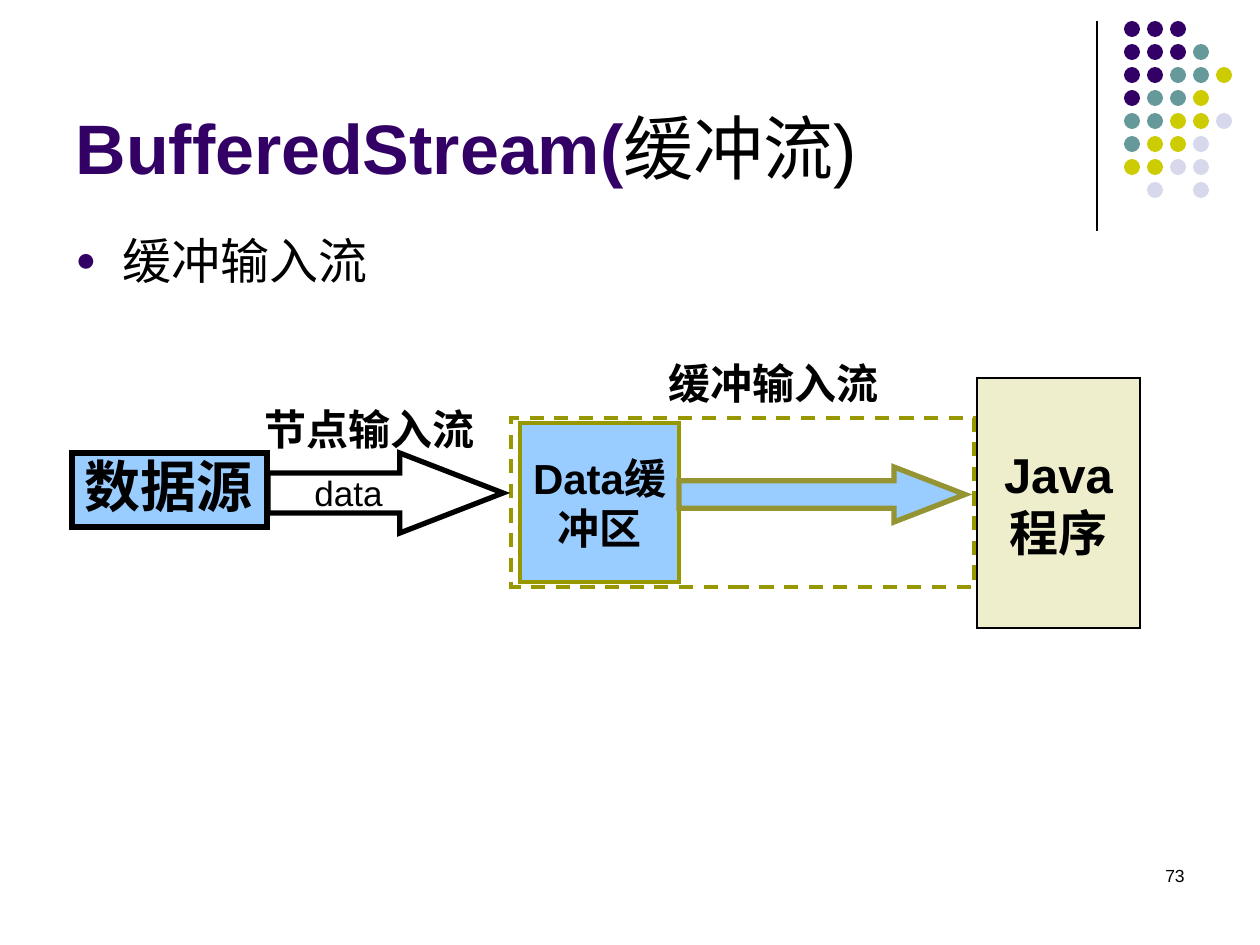
from lxml import etree
from pptx import Presentation
from pptx.dml.color import RGBColor
from pptx.enum.dml import MSO_LINE
from pptx.enum.shapes import MSO_CONNECTOR, MSO_SHAPE
from pptx.enum.text import MSO_ANCHOR, PP_ALIGN
from pptx.oxml.ns import qn
from pptx.util import Emu, Pt

PX_PER_INCH = 126
EMU_PER_INCH = 914400
RECTANGLE = MSO_SHAPE.RECTANGLE
RIGHT_ARROW = MSO_SHAPE.RIGHT_ARROW
OVAL = MSO_SHAPE.OVAL
STRAIGHT = MSO_CONNECTOR.STRAIGHT
DASH = MSO_LINE.DASH
TOP, MIDDLE, BOTTOM = MSO_ANCHOR.TOP, MSO_ANCHOR.MIDDLE, MSO_ANCHOR.BOTTOM
LEFT, CENTER, RIGHT = PP_ALIGN.LEFT, PP_ALIGN.CENTER, PP_ALIGN.RIGHT

SANS, SERIF = "Arial", "Times New Roman"
COLORS = {
    "black": "000000",
    "white": "FFFFFF",
    "purple": "330066",
    "teal": "669999",
    "yellow": "CCCC00",
    "lavender": "D8D8EC",
    "blue": "99CCFF",
    "cream": "EEEECC",
    "olive": "979700",
    "dark olive": "949432",
}
DOT_COLORS = {"p": "purple", "t": "teal", "y": "yellow", "l": "lavender"}
DOT_ROWS = ["ppp", "pppt", "pptty", "ptty", "ttyyl", "tyyl", "yyll", ".l.l"]
DOT_LEFT, DOT_TOP, DOT_STEP, DOT_SIZE = 1124, 21, 23, 16


def px(length):
    return Emu(round(length * EMU_PER_INCH / PX_PER_INCH))


def rgb(name):
    return RGBColor.from_string(COLORS[name])


def place(shape, left, top, width, height):
    shape.left, shape.top = px(left), px(top)
    shape.width, shape.height = px(width), px(height)


def format_run(run, size, font, color="black", bold=False):
    run.font.size = Pt(size)
    run.font.name = font
    run.font.bold = bold
    run.font.color.rgb = rgb(color)


def write(shape, text, size, font, bold=False, align=LEFT, anchor=TOP, wrap=True, spacing=None):
    """Put one formatted paragraph into the shape."""
    frame = shape.text_frame
    frame.text = text
    frame.word_wrap = wrap
    frame.vertical_anchor = anchor
    paragraph = frame.paragraphs[0]
    paragraph.alignment = align
    paragraph.line_spacing = spacing
    format_run(paragraph.runs[0], size, font, bold=bold)


def add_shape(slide, kind, box, fill=None, line=None, width=1, dash=None):
    shape = slide.shapes.add_shape(kind, *map(px, box))
    shape.shadow.inherit = False
    if fill:
        shape.fill.solid()
        shape.fill.fore_color.rgb = rgb(fill)
    else:
        shape.fill.background()
    if line:
        shape.line.color.rgb = rgb(line)
        shape.line.width = Pt(width)
        if dash:
            shape.line.dash_style = dash
        outline = shape._element.spPr.find(qn("a:ln"))
        etree.SubElement(outline, qn("a:miter"), lim="800000")
    else:
        shape.line.fill.background()
    return shape


def add_arrow(slide, box, fill, line):
    arrow = add_shape(slide, RIGHT_ARROW, box, fill, line, 3)
    arrow.adjustments[0] = 0.5
    arrow.adjustments[1] = 1.29


def add_label(slide, box, text, size, font, **options):
    label = slide.shapes.add_textbox(*map(px, box))
    write(label, text, size, font, **options)


def add_divider(slide):
    divider = slide.shapes.add_connector(STRAIGHT, px(1097), px(21), px(1097), px(231))
    divider.line.color.rgb = rgb("black")
    divider.line.width = Pt(0.75)
    etree.SubElement(divider._element.spPr, qn("a:effectLst"))


def add_dots(slide):
    for row, codes in enumerate(DOT_ROWS):
        for column, code in enumerate(codes):
            if code in DOT_COLORS:
                box = (DOT_LEFT + column * DOT_STEP, DOT_TOP + row * DOT_STEP, DOT_SIZE, DOT_SIZE)
                add_shape(slide, OVAL, box, DOT_COLORS[code])


def fill_title(title):
    place(title, 63, 16, 1040, 179)
    write(title, "BufferedStream(", 40, SANS, bold=True, anchor=BOTTOM)
    paragraph = title.text_frame.paragraphs[0]
    paragraph.runs[0].font.color.rgb = rgb("purple")
    run = paragraph.add_run()
    run.text = "缓冲流)"
    format_run(run, 40, SANS)


def fill_body(body):
    place(body, 63, 224, 1134, 620)
    write(body, "缓冲输入流", 28, SERIF)
    properties = body.text_frame.paragraphs[0]._p.get_or_add_pPr()
    properties.set("marL", str(px(47)))
    properties.set("indent", str(px(-47)))
    bullet_color = etree.SubElement(properties, qn("a:buClr"))
    etree.SubElement(bullet_color, qn("a:srgbClr"), val=COLORS["purple"])
    etree.SubElement(properties, qn("a:buSzPct"), val="70000")
    etree.SubElement(properties, qn("a:buChar"), char="●")


def add_diagram(slide):
    add_shape(slide, RECTANGLE, (511, 418, 463, 169), line="olive", width=2, dash=DASH)

    source = add_shape(slide, RECTANGLE, (72, 453, 195, 74), "blue", "black", 3)
    write(source, "数据源", 32, SERIF, bold=True, wrap=False, spacing=0.9)
    add_arrow(slide, (268, 453, 235, 80), None, "black")
    add_label(slide, (252, 403, 249, 58), "节点输入流", 24, SERIF,
              bold=True, wrap=False, spacing=0.9)

    stream_name = add_shape(slide, RECTANGLE, (645, 351, 258, 63), "white")
    write(stream_name, "缓冲输入流", 24, SERIF, bold=True, align=CENTER)
    program = add_shape(slide, RECTANGLE, (977, 378, 163, 250), "cream", "black", 0.75)
    write(program, "Java程序", 28, SANS, bold=True, align=CENTER, anchor=MIDDLE)
    data_buffer = add_shape(slide, RECTANGLE, (520, 423, 159, 159), "blue", "olive", 2)
    write(data_buffer, "Data缓冲区", 24, SANS, bold=True, align=CENTER, anchor=MIDDLE)

    add_arrow(slide, (679, 467, 286, 55), "blue", "dark olive")
    add_label(slide, (302, 465, 94, 55), "data", 20, SANS, wrap=False)


def main():
    presentation = Presentation()
    presentation.slide_width, presentation.slide_height = px(1260), px(945)
    slide = presentation.slides.add_slide(presentation.slide_layouts[1])
    add_divider(slide)
    add_dots(slide)
    fill_title(slide.shapes.title)
    fill_body(slide.placeholders[1])
    add_label(slide, (903, 859, 294, 63), "73", 10, SANS, align=RIGHT)
    add_diagram(slide)
    presentation.save("out.pptx")


if __name__ == "__main__":
    main()
